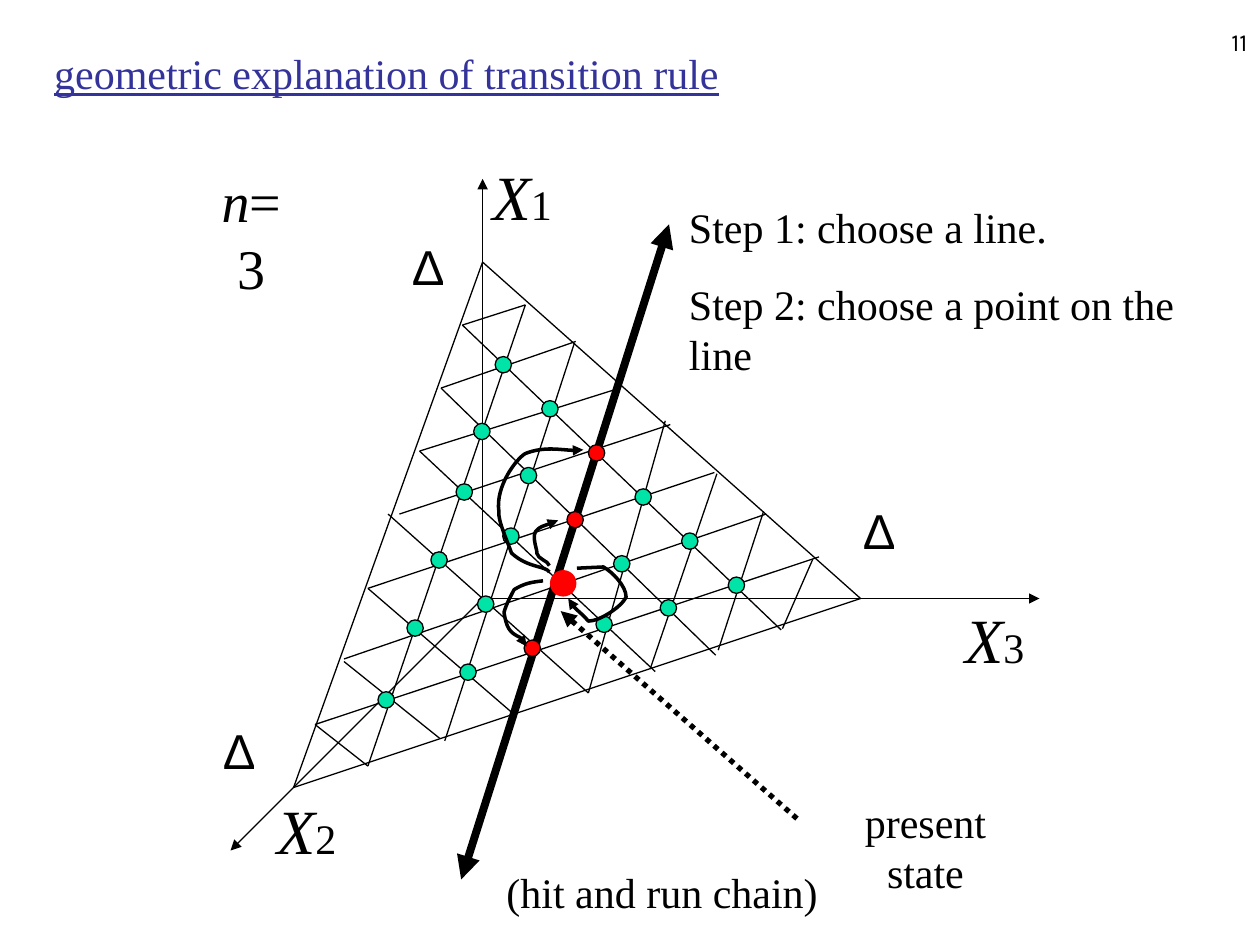
from lxml.etree import SubElement
from pptx import Presentation
from pptx.dml.color import RGBColor
from pptx.enum.dml import MSO_LINE
from pptx.enum.shapes import MSO_CONNECTOR, MSO_SHAPE
from pptx.enum.text import MSO_ANCHOR, MSO_AUTO_SIZE, PP_ALIGN
from pptx.oxml.ns import qn
from pptx.util import Inches, Pt

BLACK = RGBColor(0x00, 0x00, 0x00)
NAVY = RGBColor(0x33, 0x33, 0x99)
GREEN = RGBColor(0x00, 0xE4, 0xA8)
RED = RGBColor(0xFF, 0x00, 0x00)
SERIF, SANS, NUMBER_FONT = "Times New Roman", "Arial", "Karla"

# Each line is x1, y1, x2, y2
SIMPLEX = [
    (3.83, 2.08, 2.33, 6.25), (2.33, 6.25, 6.83, 4.75), (3.83, 2.08, 6.83, 4.75),
]
MESH = [
    # Rising to the right
    (3.67, 2.58, 4.17, 2.42), (3.5, 3.08, 4.57, 2.71), (3.33, 3.58, 4.92, 3.08),
    (3.17, 4.08, 5.32, 3.37), (2.92, 4.67, 5.67, 3.75), (2.73, 5.23, 6.08, 4.08),
    (2.5, 5.75, 6.5, 4.42),
    # Falling to the right
    (2.5, 5.75, 2.92, 6.08), (2.73, 5.25, 3.49, 5.86), (2.92, 4.67, 4.08, 5.67),
    (3.08, 4.08, 4.67, 5.5), (3.33, 3.58, 5.2, 5.33), (3.5, 3.08, 5.68, 5.2),
    (3.67, 2.58, 6.2, 5),
    # Steep
    (4.17, 2.42, 2.92, 6.08), (4.56, 2.72, 3.53, 5.88), (4.92, 3.08, 4.08, 5.67),
    (5.28, 3.34, 4.67, 5.5), (5.69, 3.76, 5.16, 5.31), (6.06, 4.06, 5.7, 5.16),
    (6.45, 4.44, 6.21, 4.99),
]
AXES = [(3.83, 4.75, 3.83, 1.42), (3.83, 4.75, 1.83, 6.75), (3.83, 4.75, 8.25, 4.75)]

# Lattice rows: left, top, number of dots, horizontal step
DOT_ROWS = [
    (3.93, 2.83, 6, 0.37), (3.76, 3.36, 5, 0.37), (3.62, 3.84, 4, 0.37),
    (3.42, 4.38, 3, 0.37), (3.23, 4.92, 2, 0.42), (3, 5.49, 1, 0.37),
]
DOT_STEP_Y = 0.35
LINE_COLUMN, PRESENT_ROW = 2, 2

# Bezier curves: a start point, then three points per segment
MOVES = [
    [(4.36, 4.49), (4.35, 4.45), (4.27, 4.44), (4.26, 4.39), (4.27, 4.38),
     (4.22, 4.27), (4.25, 4.22), (4.28, 4.18), (4.39, 4.15), (4.43, 4.13)],
    [(4.36, 4.54), (4.33, 4.49), (4.19, 4.51), (4.06, 4.39), (4.03, 4.3),
     (3.95, 4.13), (3.96, 4.06), (3.93, 3.86), (4.1, 3.64), (4.17, 3.6),
     (4.32, 3.54), (4.58, 3.59), (4.63, 3.57)],
    [(4.31, 4.61), (4.22, 4.62), (4.16, 4.63), (4.08, 4.68), (4.05, 4.74),
     (4.02, 4.79), (4, 4.86), (4.02, 4.98), (4.04, 5.02), (4.13, 5.06),
     (4.14, 5.08), (4.16, 5.1), (4.18, 5.13)],
    [(4.58, 4.51), (4.58, 4.51), (4.79, 4.5), (4.79, 4.5), (4.86, 4.54),
     (4.97, 4.65), (4.97, 4.74), (4.93, 4.82), (4.76, 4.93), (4.67, 4.93),
     (4.64, 4.89), (4.51, 4.79), (4.51, 4.75)],
]


def style_line(line, width, ends=()):
    line.color.rgb = BLACK
    line.width = Pt(width)
    for end in ends:
        SubElement(line._get_or_add_ln(), qn(f"a:{end}"), type="triangle")


def add_line(shapes, ends_at, width=0.75, ends=(), dash=None):
    c = shapes.add_connector(MSO_CONNECTOR.STRAIGHT, *map(Inches, ends_at))
    if dash:
        c.line.dash_style = dash
    style_line(c.line, width, ends)
    SubElement(c._element.spPr, qn("a:effectLst"))


def add_curve(shapes, points):
    pts = [(Inches(x), Inches(y)) for x, y in points]
    builder = shapes.build_freeform(*pts[0])
    builder.add_line_segments(pts[1:], close=False)
    sp = builder.convert_to_shape()
    sp.shadow.inherit = False
    sp.fill.background()
    style_line(sp.line, 2, ["tailEnd"])
    # Turn every three line segments into one Bezier segment
    segments = list(sp._element.iter(qn("a:lnTo")))
    for i in range(0, len(segments), 3):
        bezier = SubElement(segments[i].getparent(), qn("a:cubicBezTo"))
        for segment in segments[i:i + 3]:
            bezier.append(segment[0])
            segment.getparent().remove(segment)


def add_dot(shapes, x, y, size, fill, outline=BLACK):
    sp = shapes.add_shape(MSO_SHAPE.OVAL, *map(Inches, (x, y, size, size)))
    sp.shadow.inherit = False
    sp.fill.solid()
    sp.fill.fore_color.rgb = fill
    sp.line.color.rgb = outline
    sp.line.width = Pt(0.75)


def format_run(r, size, font=SERIF, color=BLACK):
    r.font.size = Pt(size)
    r.font.name = font
    r.font.color.rgb = color


def add_text(shapes, box, *paragraphs, align=PP_ALIGN.LEFT):
    """Each paragraph is a list of runs: text, size, font, italic."""
    tf = shapes.add_textbox(*map(Inches, box)).text_frame
    tf.word_wrap = False
    tf.auto_size = MSO_AUTO_SIZE.SHAPE_TO_FIT_TEXT
    for i, runs in enumerate(paragraphs):
        p = tf.add_paragraph() if i else tf.paragraphs[0]
        p.alignment = align
        if i:
            p.space_before = Pt(15)
        for text, size, font, italic in runs:
            r = p.add_run()
            r.text = text
            format_run(r, size, font)
            r.font.italic = italic
    return tf


def add_title(slide, text):
    sp = slide.shapes.title
    sp.left, sp.top, sp.width, sp.height = map(Inches, (0.33, 0.33, 8.52, 0.5))
    tf = sp.text_frame
    tf.text = text
    tf.vertical_anchor = MSO_ANCHOR.BOTTOM
    tf.auto_size = MSO_AUTO_SIZE.SHAPE_TO_FIT_TEXT
    p = tf.paragraphs[0]
    p.alignment = PP_ALIGN.LEFT
    format_run(p.runs[0], 24, color=NAVY)
    p.runs[0].font.underline = True


def add_lattice(shapes):
    for row, (left, top, count, step) in enumerate(DOT_ROWS):
        for col in range(count):
            x, y = left + col * step, top + col * DOT_STEP_Y
            if (row, col) == (PRESENT_ROW, LINE_COLUMN):
                add_dot(shapes, 4.37, 4.53, 0.2, RED, RED)
            else:
                add_dot(shapes, x, y, 0.13, RED if col == LINE_COLUMN else GREEN)


def add_labels(shapes):
    for name, x, y in (("1", 3.81, 1.2), ("2", 2.1, 6.23), ("3", 7.56, 4.72)):
        add_text(shapes, (x, y, 0.67, 0.7),
                 [("X", 36, SERIF, True), (name, 24, SERIF, False)])
    for x, y in ((3.17, 1.83), (1.67, 5.67), (6.75, 3.92)):
        add_text(shapes, (x, y, 0.44, 0.57), [("Δ", 28, SANS, False)])
    add_text(shapes, (1.55, 1.27, 0.89, 0.64),
             [("n", 32, SERIF, True), ("=3", 32, SERIF, False)], align=PP_ALIGN.CENTER)
    add_text(shapes, (5.37, 1.55, 4.63, 1.11),
             [("Step 1: choose a line.", 24, SERIF, False)],
             [("Step 2: choose a point on the line", 24, SERIF, False)])
    for text, box in (("present state", (6.42, 6.27, 1.85, 0.5)),
                      ("(hit and run chain)", (3.92, 6.83, 2.67, 0.5))):
        add_text(shapes, box, [(text, 24, SERIF, False)], align=PP_ALIGN.CENTER)


def add_slide_number(shapes):
    tf = add_text(shapes, (7.92, 0, 2.08, 0.5), [("11", 14, NUMBER_FONT, False)],
                  align=PP_ALIGN.RIGHT)
    tf.word_wrap = True
    tf.auto_size = MSO_AUTO_SIZE.NONE
    tf.vertical_anchor = MSO_ANCHOR.BOTTOM


def main():
    prs = Presentation()
    prs.slide_width, prs.slide_height = Inches(10), Inches(7.5)
    slide = prs.slides.add_slide(prs.slide_layouts[5])
    shapes = slide.shapes
    add_title(slide, "geometric explanation of transition rule")

    # Chosen line, axes and triangular mesh
    add_line(shapes, (5.31, 1.78, 3.66, 6.98), 4.5, ["headEnd", "tailEnd"])
    for axis in AXES:
        add_line(shapes, axis, ends=["tailEnd"])
    mesh = shapes.add_group_shape()
    for edge in SIMPLEX + MESH:
        add_line(mesh.shapes, edge)

    # Lattice points, labels and possible moves
    add_lattice(shapes)
    add_labels(shapes)
    moves = shapes.add_group_shape()
    for points in MOVES:
        add_curve(moves.shapes, points)

    # Pointer to the present state
    add_line(shapes, (4.45, 4.85, 6.34, 6.51), 3, ["headEnd"], MSO_LINE.ROUND_DOT)
    add_slide_number(shapes)
    prs.save("out.pptx")


if __name__ == "__main__":
    main()
